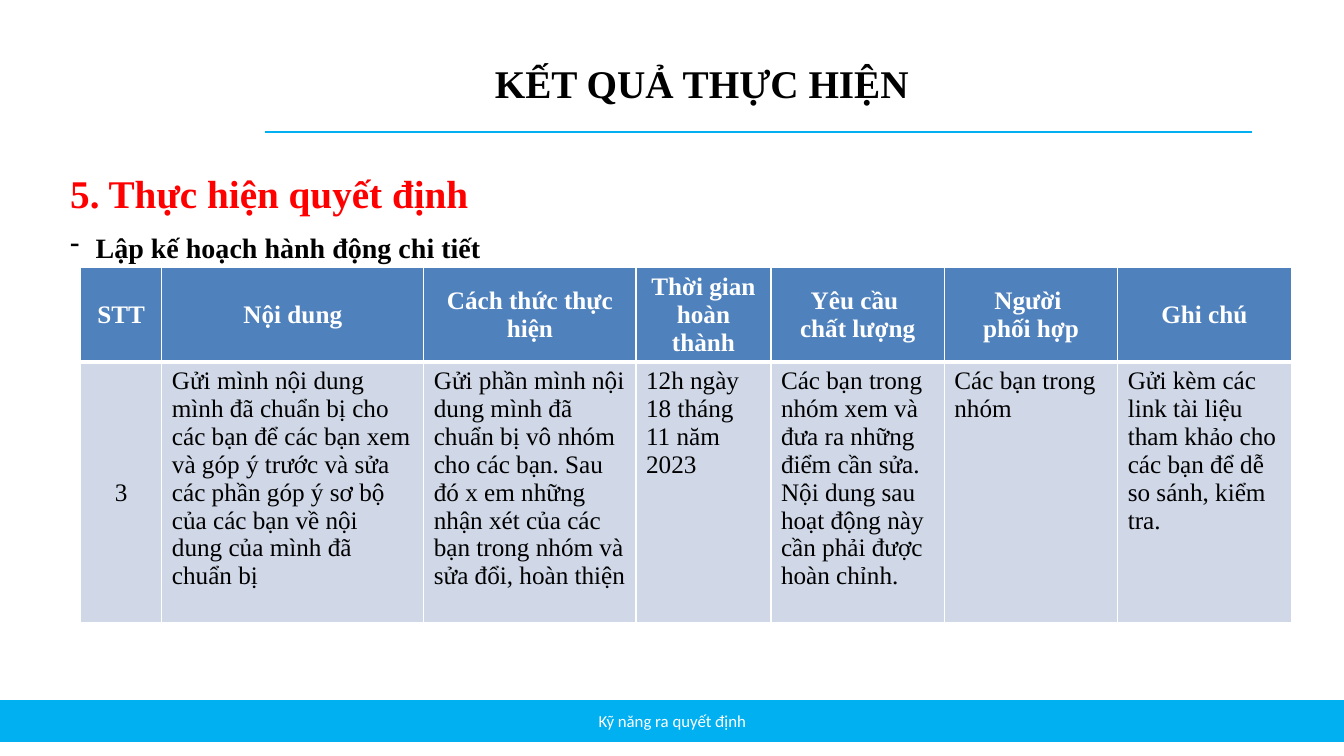
from lxml import etree
from pptx import Presentation
from pptx.dml.color import RGBColor
from pptx.enum import shapes, text
from pptx.oxml import ns
from pptx.util import Cm, Pt

COLORS = {
    "accent": "00B0F0", "heading": "FF0000", "ink": "000000",
    "white": "FFFFFF", "header": "4F81BD", "body": "D0D8E8",
}
CENTER = text.PP_ALIGN.CENTER
MIDDLE = text.MSO_ANCHOR.MIDDLE


def write(paragraph, words, size=18, color="ink", bold=False,
          font="Times New Roman", align=None, spacing=None, before=None):
    run = paragraph.add_run()
    run.text = words
    run.font.size = Pt(size)
    run.font.name = font
    run.font.bold = bold
    run.font.color.rgb = RGBColor.from_string(COLORS[color])
    paragraph.alignment = align
    paragraph.line_spacing = spacing
    paragraph.space_before = before


def add_frame(left, top, width, height, anchor=text.MSO_ANCHOR.TOP):
    """Add a wrapping text box, measured in centimetres, and return its text frame."""
    box = slide.shapes.add_textbox(Cm(left), Cm(top), Cm(width), Cm(height))
    box.text_frame.word_wrap = True
    box.text_frame.vertical_anchor = anchor
    return box.text_frame


presentation = Presentation()
presentation.slide_width, presentation.slide_height = Cm(33.87), Cm(19.05)
slide = presentation.slides.add_slide(presentation.slide_layouts[6])
accent = RGBColor.from_string(COLORS["accent"])

# Footer bar and title rule
bar = slide.shapes.add_shape(shapes.MSO_SHAPE.RECTANGLE,
                             0, Cm(17.65), presentation.slide_width, Cm(1.02))
bar.shadow.inherit = False
bar.fill.solid()
bar.fill.fore_color.rgb = accent
bar.line.color.rgb = accent
bar.line.width = Pt(1)

rule = slide.shapes.add_connector(shapes.MSO_CONNECTOR.STRAIGHT,
                                  Cm(6.67), Cm(3.33), Cm(31.55), Cm(3.33))
rule.line.color.rgb = accent
rule.line.width = Pt(1.5)
etree.SubElement(rule._element.spPr, ns.qn("a:effectLst"))

# Title, section heading and footer
title = add_frame(4.45, 1.01, 26.47, 2.31, MIDDLE)
write(title.paragraphs[0], "KẾT QUẢ THỰC HIỆN", size=28, bold=True, align=CENTER, spacing=0.9)

section = add_frame(1.52, 3.56, 31.55, 13.61)
write(section.paragraphs[0], "5. Thực hiện quyết định", size=28, color="heading",
      bold=True, spacing=1.5, before=Pt(4))
step = section.add_paragraph()
write(step, "Lập kế hoạch hành động chi tiết", size=20, bold=True, spacing=1.4, before=Pt(0))
step_format = step._p.get_or_add_pPr()
step_format.set("marL", str(Cm(0.64)))
step_format.set("indent", str(-Cm(0.64)))
etree.SubElement(step_format, ns.qn("a:buChar"), char="-")

footer = add_frame(11.23, 17.65, 11.43, 1.02, MIDDLE)
write(footer.paragraphs[0], "Kỹ năng ra quyết định", size=12, color="white",
      font="Calibri", align=CENTER)

# Action plan
rows = [
    ["STT", "Nội dung", "Cách thức thực hiện", "Thời gian hoàn thành",
     "Yêu cầu \nchất lượng", "Người \nphối hợp", "Ghi chú"],
    ["3",
     "Gửi mình nội dung mình đã chuẩn bị cho các bạn để các bạn xem và góp ý trước "
     "và sửa các phần góp ý sơ bộ của các bạn về nội dung của mình đã chuẩn bị",
     "Gửi phần mình nội dung mình đã chuẩn bị vô nhóm cho các bạn. Sau đó x em những "
     "nhận xét của các bạn trong nhóm và sửa đổi, hoàn thiện",
     "12h ngày 18 tháng 11 năm 2023",
     "Các bạn trong nhóm xem và đưa ra những điểm cần sửa. Nội dung sau hoạt động này "
     "cần phải được hoàn chỉnh.",
     "Các bạn trong nhóm",
     "Gửi kèm các link tài liệu tham khảo cho các bạn để dễ so sánh, kiểm tra."],
]
column_widths = [2.05, 6.6, 5.35, 3.4, 4.37, 4.37, 4.37]
row_heights = [2.37, 6.58]
table = slide.shapes.add_table(len(rows), len(column_widths), Cm(2.03), Cm(6.75),
                               Cm(sum(column_widths)), Cm(sum(row_heights))).table
for column, width in zip(table.columns, column_widths):
    column.width = Cm(width)
for row, height in zip(table.rows, row_heights):
    row.height = Cm(height)

for row_index, row in enumerate(rows):
    is_header = row_index == 0
    for column_index, words in enumerate(row):
        cell = table.cell(row_index, column_index)
        centered = is_header or column_index == 0
        cell.vertical_anchor = MIDDLE if centered else text.MSO_ANCHOR.TOP
        cell.margin_top = cell.margin_bottom = Cm(0.04 if is_header else 0.13)
        for line_index, line in enumerate(words.split("\n")):
            frame = cell.text_frame
            paragraph = frame.add_paragraph() if line_index else frame.paragraphs[0]
            write(paragraph, line, color="white" if is_header else "ink",
                  bold=is_header, align=CENTER if centered else None)
        # Borders come before the fill in the cell properties
        cell_format = cell._tc.get_or_add_tcPr()
        for side in ("lnL", "lnR", "lnT", "lnB"):
            at_divider = side == ("lnB" if is_header else "lnT")
            border = etree.SubElement(cell_format, ns.qn(f"a:{side}"),
                                      w=str(Pt(3 if at_divider else 1)))
            border_fill = etree.SubElement(border, ns.qn("a:solidFill"))
            etree.SubElement(border_fill, ns.qn("a:srgbClr"), val=COLORS["white"])
        cell.fill.solid()
        cell.fill.fore_color.rgb = RGBColor.from_string(COLORS["header" if is_header else "body"])

presentation.save("out.pptx")
